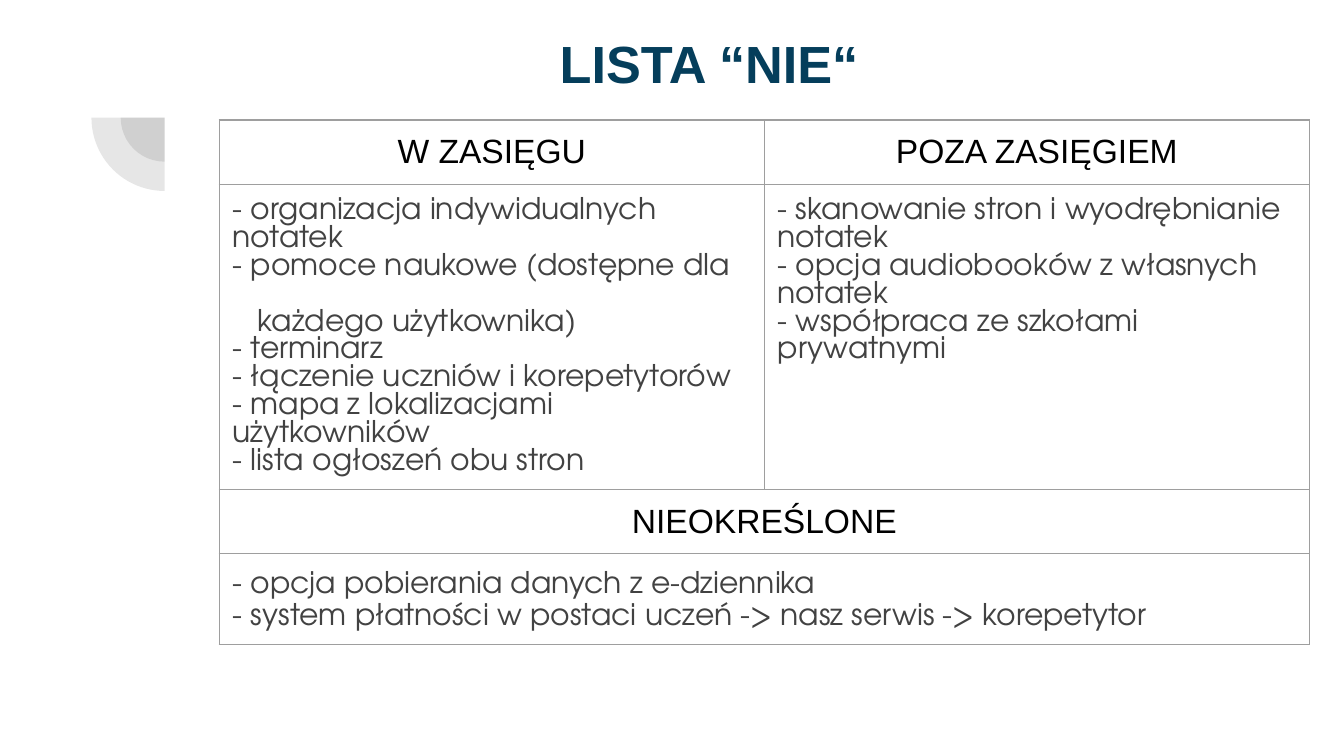
from dataclasses import dataclass

from lxml.etree import SubElement
from pptx import Presentation
from pptx.dml.color import RGBColor
from pptx.enum.shapes import MSO_SHAPE
from pptx.enum.text import MSO_ANCHOR, MSO_AUTO_SIZE, PP_ALIGN
from pptx.oxml.ns import qn
from pptx.util import Pt


@dataclass(frozen=True)
class Theme:
    """Colours, fonts and type sizes of the deck."""
    title_color: str = "053E5B"
    heading_color: str = "000000"
    body_color: str = "424242"
    border_color: str = "9E9E9E"
    heading_font: str = "Arial"
    body_font: str = "TeX Gyre Adventor"
    title_size: float = 28
    heading_size: float = 18
    body_size: float = 16
    border_width: float = 0.75
    inset: float = 7.2
    ornament_opacity: int = 13


THEME = Theme()
HEADING = dict(font=THEME.heading_font, size=THEME.heading_size,
               color=THEME.heading_color, align=PP_ALIGN.CENTER)
BODY = dict(font=THEME.body_font, size=THEME.body_size, color=THEME.body_color)

IN_SCOPE = [
    "- organizacja indywidualnych notatek",
    "- pomoce naukowe (dostępne dla",
    ("każdego użytkownika)", dict(indent=13.4, before=14.9)),
    "- terminarz",
    "- łączenie uczniów i korepetytorów",
    "- mapa z lokalizacjami użytkowników",
    "- lista ogłoszeń obu stron",
]
OUT_OF_SCOPE = [
    "- skanowanie stron i wyodrębnianie notatek",
    "- opcja audiobooków z własnych notatek",
    "- współpraca ze szkołami prywatnymi",
]
UNDECIDED = [
    "- opcja pobierania danych z e-dziennika",
    "- system płatności w postaci uczeń -> nasz serwis -> korepetytor",
]


def write_text(frame, lines, *, font, size, color, bold=False,
               align=PP_ALIGN.LEFT, spacing=1.0):
    """Write one paragraph per line; a (text, options) pair adds indent and space before."""
    frame.word_wrap = True
    for number, line in enumerate(lines):
        text, options = line if isinstance(line, tuple) else (line, {})
        para = frame.paragraphs[0] if number == 0 else frame.add_paragraph()
        para.alignment = align
        para.line_spacing = spacing
        para.space_before = Pt(options.get("before", 0))
        para.space_after = Pt(0)
        if "indent" in options:
            properties = para._p.get_or_add_pPr()
            properties.set("marL", str(Pt(options["indent"])))
            properties.set("indent", "0")
        span = para.add_run()
        span.text = text
        span.font.name = font
        span.font.size = Pt(size)
        span.font.bold = bold
        span.font.color.rgb = RGBColor.from_string(color)


def add_ornament(page, left, top, size):
    """Draw two concentric translucent quarter discs in a square box."""
    for share in (0.6, 1):
        side = size * share
        margin = (size - side) / 2
        disc = page.shapes.add_shape(MSO_SHAPE.PIE, Pt(left + margin), Pt(top + margin),
                                     Pt(side), Pt(side))
        disc.adjustments[0] = 108
        disc.adjustments[1] = 162
        disc.rotation = 270
        disc.shadow.inherit = False
        disc.line.fill.background()
        disc.fill.solid()
        disc.fill.fore_color.rgb = RGBColor.from_string(THEME.body_color)
        color = disc._element.spPr.find(qn("a:solidFill"))[0]
        SubElement(color, qn("a:alpha"), val=str(THEME.ornament_opacity * 1000))


def add_title(page, text, left, top, width, height):
    """Place and format the title placeholder."""
    title = page.shapes.title
    title.left, title.top, title.width, title.height = map(Pt, (left, top, width, height))
    frame = title.text_frame
    frame.auto_size = MSO_AUTO_SIZE.NONE
    frame.vertical_anchor = MSO_ANCHOR.TOP
    frame.margin_left = frame.margin_right = frame.margin_bottom = Pt(THEME.inset)
    frame.margin_top = Pt(10.7)
    write_text(frame, [text], font=THEME.heading_font, size=THEME.title_size,
               color=THEME.title_color, bold=True, align=PP_ALIGN.CENTER)


def format_cell(cell):
    """Give a cell its insets, thin borders and no fill."""
    cell.margin_left = cell.margin_right = Pt(THEME.inset)
    cell.margin_top = cell.margin_bottom = Pt(THEME.inset)
    cell.vertical_anchor = MSO_ANCHOR.TOP
    properties = cell._tc.get_or_add_tcPr()
    for side in ("lnL", "lnR", "lnT", "lnB"):
        border = SubElement(properties, qn(f"a:{side}"), w=str(Pt(THEME.border_width)))
        fill = SubElement(border, qn("a:solidFill"))
        SubElement(fill, qn("a:srgbClr"), val=THEME.border_color)
    cell.fill.background()


def add_scope_table(page, left, top, width, row_heights):
    """Build the scope table; its two lower rows span both columns."""
    frame = page.shapes.add_table(len(row_heights), 2, Pt(left), Pt(top),
                                  Pt(width), Pt(sum(row_heights)))
    table = frame.table
    table.first_row = table.horz_banding = False
    for row, height in zip(table.rows, row_heights):
        row.height = Pt(height)
    for cell in table.iter_cells():
        format_cell(cell)
    for row in (2, 3):
        table.cell(row, 0).merge(table.cell(row, 1))
    contents = [
        (0, 0, ["W ZASIĘGU"], HEADING),
        (0, 1, ["POZA ZASIĘGIEM"], HEADING),
        (1, 0, IN_SCOPE, BODY),
        (1, 1, OUT_OF_SCOPE, BODY),
        (2, 0, ["NIEOKREŚLONE"], HEADING),
        (3, 0, UNDECIDED, dict(BODY, spacing=1.15)),
    ]
    for row, column, lines, style in contents:
        write_text(table.cell(row, column).text_frame, lines, **style)


def build_deck():
    """Create the deck with its single slide."""
    deck = Presentation()
    deck.slide_width, deck.slide_height = Pt(720), Pt(405)
    page = deck.slides.add_slide(deck.slide_layouts[5])
    add_ornament(page, 49, 23.8, 78.5)
    add_title(page, "LISTA “NIE“", 103, 5.8, 553.7, 78.5)
    add_scope_table(page, 117.5, 64.3, 584, [34.6, 163.2, 34.6, 48.4])
    deck.save("out.pptx")


build_deck()
